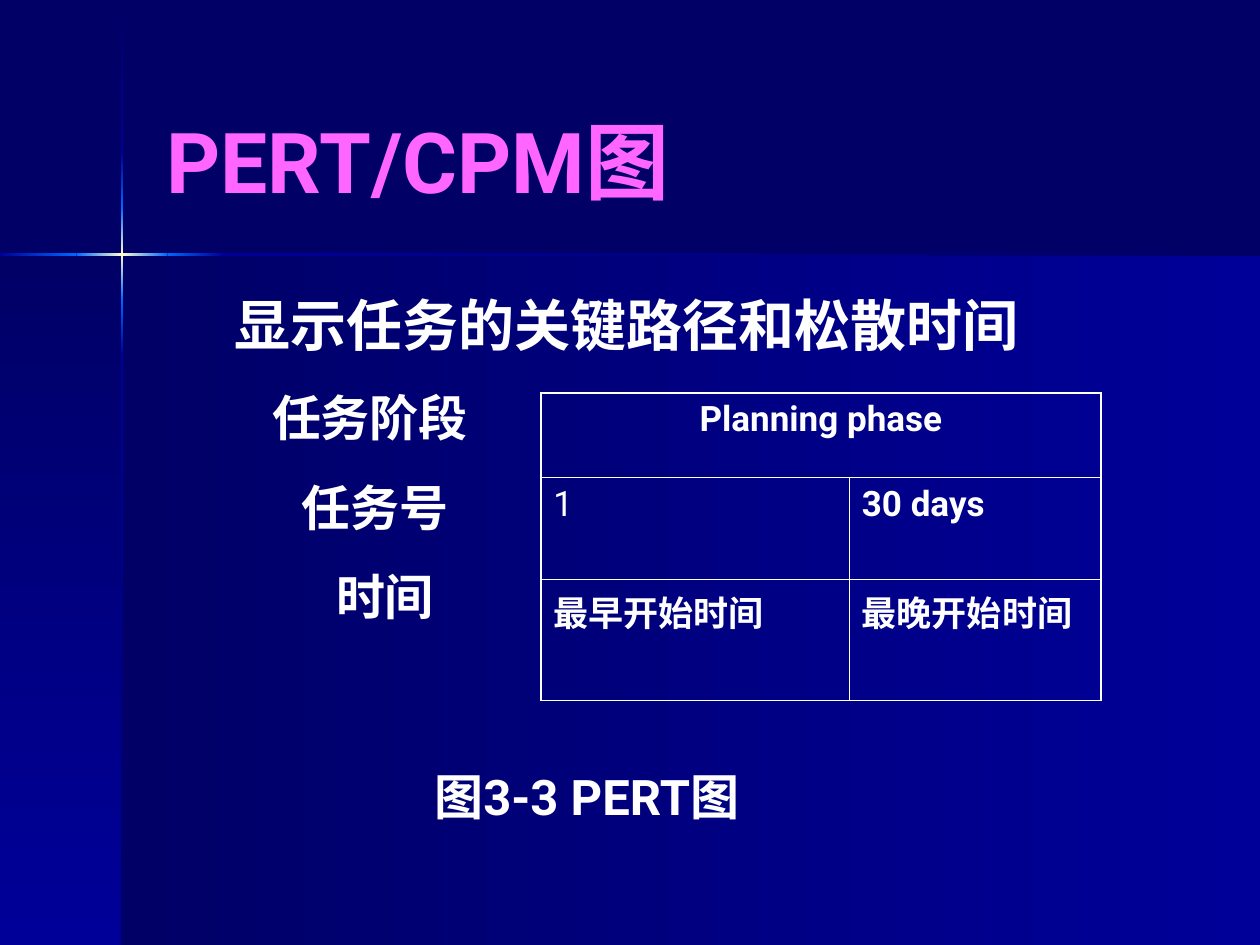
from itertools import pairwise

from lxml import etree
from pptx import Presentation
from pptx.dml.color import RGBColor
from pptx.enum.shapes import MSO_SHAPE
from pptx.enum.text import MSO_ANCHOR, MSO_AUTO_SIZE, PP_ALIGN
from pptx.oxml.ns import qn
from pptx.util import Cm, Pt

FONT = "Roboto"
NAVY, BLUE, BRIGHT, CREAM = "000066", "000099", "0066FF", "FFFFCC"
WHITE, PINK = "FFFFFF", "FF66FF"
RIGHT, DOWN = 0, 90
RAMPS = [(NAVY, BLUE), (BLUE, BRIGHT), (BRIGHT, CREAM, BRIGHT),
         (BRIGHT, BLUE), (BLUE, NAVY)]


def color(hex_value):
    return RGBColor.from_string(hex_value)


def add_solid(parent, hex_value):
    solid = etree.SubElement(parent, qn("a:solidFill"))
    etree.SubElement(solid, qn("a:srgbClr"), val=hex_value)


def format_text(p, size, hex_value=WHITE, bold=True, before=0):
    p.space_before = Pt(before)
    for r in p.runs:
        r.font.name, r.font.size, r.font.bold = FONT, Pt(size), bold
        r.font.color.rgb = color(hex_value)


def place(sp, box):
    sp.left, sp.top, sp.width, sp.height = map(Cm, box)


def gradient_panel(s, box, colors, angle):
    sp = s.shapes.add_shape(MSO_SHAPE.RECTANGLE, *map(Cm, box))
    sp.shadow.inherit = False
    sp.line.fill.background()
    sp.fill.gradient()
    sp.fill.gradient_angle = (360 - angle) % 360
    stops = sp._element.spPr.find(qn("a:gradFill")).find(qn("a:gsLst"))
    for stop in list(stops):
        stops.remove(stop)
    for i, c in enumerate(colors):
        pos = str(100000 * i // (len(colors) - 1))
        gs = etree.SubElement(stops, qn("a:gs"), pos=pos)
        etree.SubElement(gs, qn("a:srgbClr"), val=c)


def add_backdrop(s, box):
    x, y, w, h = box
    cross_x, cross_y, thick = 2.46, 5.13, 0.05
    s.background.fill.solid()
    s.background.fill.fore_color.rgb = color(NAVY)
    gradient_panel(s, (x + cross_x, y + cross_y, w - cross_x, h - cross_y),
                   (NAVY, BLUE), RIGHT)
    gradient_panel(s, (x, y + cross_y, cross_x, h - cross_y),
                   (NAVY, BLUE), DOWN)
    rows = pairwise([0.03, 3.07, 4.19, 6.05, 7.16, h])
    for (top, bottom), ramp in zip(rows, RAMPS):
        gradient_panel(s, (x + cross_x - thick / 2, y + top, thick, bottom - top),
                       ramp, DOWN)
    columns = pairwise([0, 1.54, 3.38, 4.5, w])
    for (left, right), ramp in zip(columns, RAMPS[1:]):
        gradient_panel(s, (x + left, y + cross_y - thick / 2, right - left, thick),
                       ramp, RIGHT)


def add_title(s, box):
    sp = s.shapes.title
    place(sp, box)
    tf = sp.text_frame
    tf.text = "PERT/CPM图"
    tf.vertical_anchor = MSO_ANCHOR.MIDDLE
    p = tf.paragraphs[0]
    p.alignment = PP_ALIGN.LEFT
    format_text(p, 48, PINK)
    s.shapes._spTree.append(sp._element)


def add_body(s, box):
    sp = s.placeholders[1]
    place(sp, box)
    tf = sp.text_frame
    lines = [("显示任务的关键路径和松散时间", 32, 20, 1.5),
             ("任务阶段", 28, 17.5, 2.26),
             ("任务号", 28, 17.5, 2.86),
             ("时间", 28, 17.5, 3.55)]
    tf.text = "\n".join(line[0] for line in lines)
    for p, (_, size, before, indent) in zip(tf.paragraphs, lines):
        format_text(p, size, before=before)
        pPr = p._p.get_or_add_pPr()
        pPr.set("marL", str(Cm(indent)))
        pPr.set("indent", "0")
        etree.SubElement(pPr, qn("a:buNone"))
    s.shapes._spTree.append(sp._element)


def set_borders(cell, widths):
    tcPr = cell._tc.get_or_add_tcPr()
    for side, width in zip(("L", "R", "T", "B"), widths):
        ln = etree.SubElement(tcPr, qn(f"a:ln{side}"), w=str(Pt(width)))
        add_solid(ln, WHITE)
    etree.SubElement(tcPr, qn("a:noFill"))


def add_task_table(s, box):
    outer, inner = 1.08, 0.45
    rows = [("Planning phase", ""), ("1", "30 days"),
            ("最早开始时间", "最晚开始时间")]
    table = s.shapes.add_table(3, 2, *map(Cm, box)).table
    table.first_row = table.horz_banding = False
    for column, width in zip(table.columns, (6.22, 5.08)):
        column.width = Cm(width)
    for row, height in zip(table.rows, (1.7, 2.06, 2.44)):
        row.height = Cm(height)
    table.cell(0, 0).merge(table.cell(0, 1))
    for i, texts in enumerate(rows):
        for j, text in enumerate(texts):
            cell = table.cell(i, j)
            edges = (j == 0, j == 1 or i == 0, i == 0, i == 2)
            set_borders(cell, [outer if edge else inner for edge in edges])
            if cell.is_spanned:
                continue
            cell.text = text
            p = cell.text_frame.paragraphs[0]
            p.alignment = PP_ALIGN.CENTER if i == 0 else PP_ALIGN.LEFT
            format_text(p, 20, bold=text != "1", before=5)


def add_caption(s, box):
    tf = s.shapes.add_textbox(*map(Cm, box)).text_frame
    tf.word_wrap = True
    tf.auto_size = MSO_AUTO_SIZE.SHAPE_TO_FIT_TEXT
    tf.text = "图3-3 PERT图"
    format_text(tf.paragraphs[0], 28, before=17.5)


def main():
    prs = Presentation()
    prs.slide_width, prs.slide_height = Cm(25.4), Cm(19.05)
    s = prs.slides.add_slide(prs.slide_layouts[1])
    add_backdrop(s, (0, 0, 25.4, 19.05))
    add_title(s, (3.1, 1.73, 20.96, 2.97))
    add_body(s, (2.97, 5.72, 20.14, 11.2))
    add_task_table(s, (10.9, 7.92, 11.3, 6.2))
    add_caption(s, (8.51, 15.32, 13.41, 1.45))
    prs.save("out.pptx")


if __name__ == "__main__":
    main()
